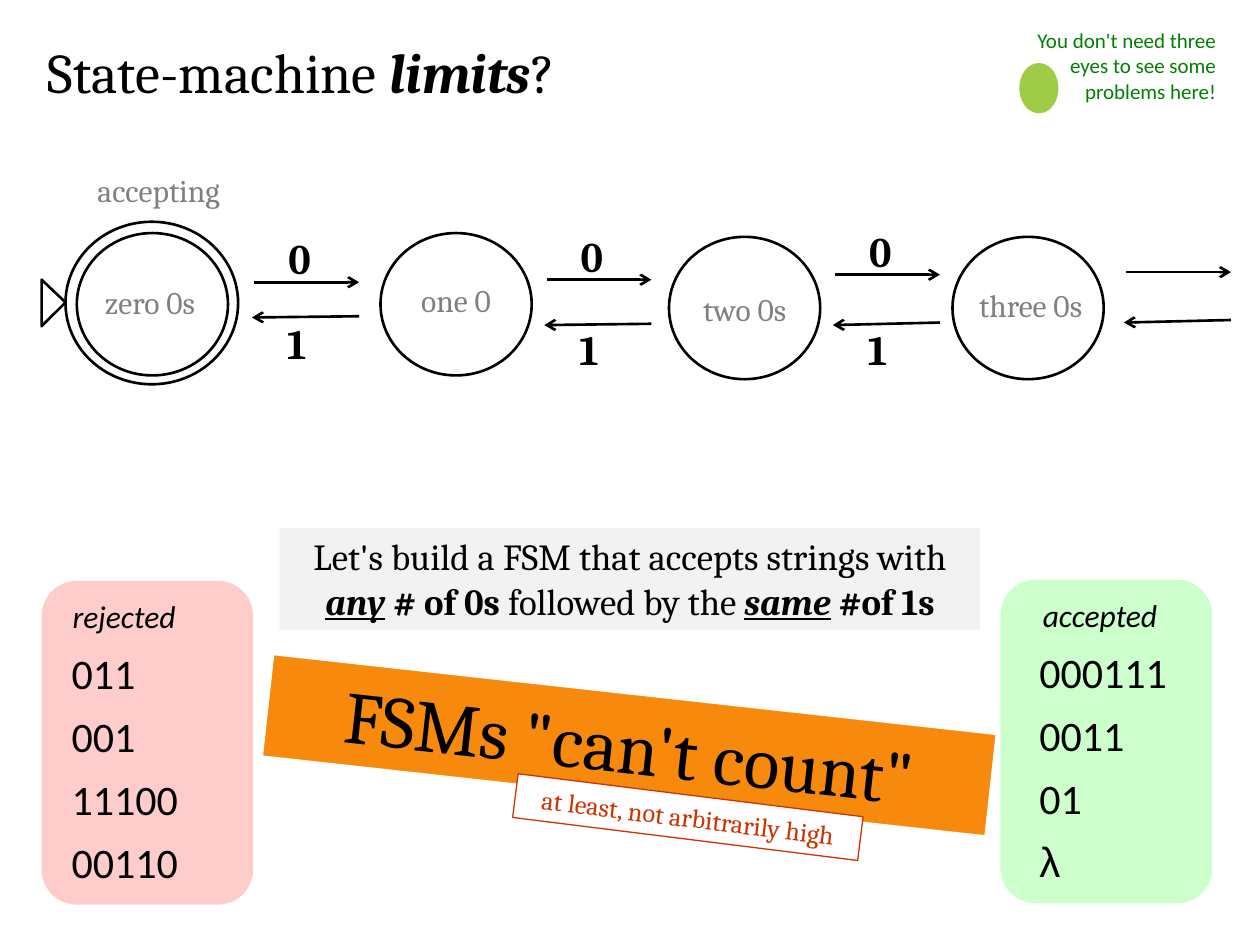
"""Builds the slide on the limits of finite-state machines."""
import pptx
import pptx.util
import pptx.dml.color
import pptx.enum.shapes
import pptx.enum.text
import pptx.oxml
import pptx.oxml.ns

Inches = pptx.util.Inches
Pt = pptx.util.Pt
RGBColor = pptx.dml.color.RGBColor
Shape = pptx.enum.shapes.MSO_SHAPE
Align = pptx.enum.text.PP_ALIGN
Anchor = pptx.enum.text.MSO_ANCHOR
AutoSize = pptx.enum.text.MSO_AUTO_SIZE

BLACK = RGBColor(0x00, 0x00, 0x00)
WHITE = RGBColor(0xFF, 0xFF, 0xFF)
GRAY = RGBColor(0x80, 0x80, 0x80)
PALE_GRAY = RGBColor(0xF2, 0xF2, 0xF2)
PINK = RGBColor(0xFF, 0xCC, 0xCC)
MINT = RGBColor(0xCC, 0xFF, 0xCC)
GREEN = RGBColor(0x00, 0x80, 0x00)
LIME = RGBColor(0x9E, 0xCC, 0x46)
ORANGE = RGBColor(0xF7, 0x89, 0x0C)
RUST = RGBColor(0xCC, 0x33, 0x00)


class SlideBuilder:
    """Holds the style and the current slide."""

    serif = "Cambria"
    sans = "Calibri"
    stroke = 1.5

    def __init__(self, slide):
        self.slide = slide

    def add_spans(self, frame, spans, size, font, color=BLACK, align=Align.LEFT,
                  anchor=Anchor.TOP, wrap=True):
        frame.word_wrap = wrap
        frame.vertical_anchor = anchor
        para = frame.paragraphs[0]
        para.alignment = align
        for text, marks in spans:
            span = para.add_run()
            span.text = text
            span.font.name = font
            span.font.size = Pt(size)
            span.font.color.rgb = color
            span.font.bold = "b" in marks
            span.font.italic = "i" in marks
            span.font.underline = "u" in marks

    def title(self, left, top, width, height, spans, size):
        box = self.slide.shapes.title
        box.left, box.top = Inches(left), Inches(top)
        box.width, box.height = Inches(width), Inches(height)
        box.text_frame.auto_size = AutoSize.NONE
        self.add_spans(box.text_frame, spans, size, self.serif)

    def text(self, left, top, width, height, text, size, font, marks="", **style):
        box = self.slide.shapes.add_textbox(
            Inches(left), Inches(top), Inches(width), Inches(height))
        box.text_frame.auto_size = AutoSize.SHAPE_TO_FIT_TEXT
        self.add_spans(box.text_frame, [(text, marks)], size, font, **style)

    def paint(self, shape, fill, line, weight):
        shape.shadow.inherit = False
        if fill is None:
            shape.fill.background()
        else:
            shape.fill.solid()
            shape.fill.fore_color.rgb = fill
        if line is None:
            shape.line.fill.background()
        else:
            shape.line.color.rgb = line
            shape.line.width = Pt(weight)

    def shape(self, kind, left, top, width, height, fill=None, line=None, weight=0.75):
        shape = self.slide.shapes.add_shape(
            kind, Inches(left), Inches(top), Inches(width), Inches(height))
        self.paint(shape, fill, line, weight)
        return shape

    def banner(self, left, top, width, height, spans, size, fill, line=None,
               color=BLACK, angle=0):
        shape = self.shape(Shape.RECTANGLE, left, top, width, height, fill, line)
        shape.rotation = angle
        self.add_spans(shape.text_frame, spans, size, self.serif, color, Align.CENTER)

    def circle(self, left, top, width, height):
        self.shape(Shape.OVAL, left, top, width, height, None, BLACK, self.stroke)

    def state(self, left, top, label, label_left, label_top):
        self.circle(left, top, 1.2, 1.13)
        self.state_label(label_left, label_top, 1.34, label)

    def state_label(self, left, top, width, label):
        self.text(left, top, width, 0.4, label, 18, self.serif, color=GRAY,
                  align=Align.CENTER, anchor=Anchor.MIDDLE)

    def polygon(self, points):
        corners = [(Inches(x), Inches(y)) for x, y in points]
        builder = self.slide.shapes.build_freeform(*corners[0])
        builder.add_line_segments(corners[1:], close=True)
        self.paint(builder.convert_to_shape(), None, BLACK, self.stroke)

    def arrow(self, start_x, start_y, end_x, end_y):
        arrow = self.slide.shapes.add_connector(
            pptx.enum.shapes.MSO_CONNECTOR.STRAIGHT,
            Inches(start_x), Inches(start_y), Inches(end_x), Inches(end_y))
        arrow.line.color.rgb = BLACK
        arrow.line.width = Pt(self.stroke)
        properties = arrow._element.spPr
        head = pptx.oxml.parse_xml(
            f'<a:tailEnd {pptx.oxml.ns.nsdecls("a")} type="arrow"/>')
        properties.find(pptx.oxml.ns.qn("a:ln")).append(head)
        effects = pptx.oxml.parse_xml(f'<a:effectLst {pptx.oxml.ns.nsdecls("a")}/>')
        properties.append(effects)

    def transition(self, left, forward_y, back_y, back_drop):
        self.arrow(left, forward_y, left + 0.83, forward_y)
        self.arrow(left + 0.83, back_y, left - 0.02, back_y + back_drop)

    def digit(self, left, top, digit):
        self.text(left, top, 0.4, 0.5, digit, 24, self.serif, "b", wrap=False)

    def examples(self, left, top, fill, heading, heading_left, words, word_left, width):
        self.shape(Shape.ROUNDED_RECTANGLE, left, top, 1.68, 2.57, fill)
        self.text(heading_left, top + 0.08, width, 0.4, heading, 18, self.sans, "i",
                  align=Align.CENTER)
        for row, word in enumerate(words):
            font = "Arial" if word == "λ" else self.sans
            self.text(word_left, top + 0.48 + 0.5 * row, width, 0.5, word, 24, font)


def main():
    deck = pptx.Presentation()
    deck.slide_width, deck.slide_height = Inches(10), Inches(7.5)
    page = SlideBuilder(deck.slides.add_slide(deck.slide_layouts[5]))

    page.title(0.28, 0.25, 6.98, 0.64,
               [("State-machine ", ""), ("limits", "bi"), ("?", "")], 32)
    page.text(7.94, 0.17, 1.81, 0.71,
              "You don't need three eyes to see some problems here!", 12, page.sans,
              color=GREEN, align=Align.RIGHT)
    page.shape(Shape.OVAL, 8.09, 0.5, 0.31, 0.4, LIME)

    page.state_label(0.45, 1.31, 1.62, "accepting")
    page.circle(0.52, 1.76, 1.37, 1.29)
    page.polygon([(0.33, 2.22), (0.33, 2.59), (0.52, 2.4)])
    for state in [(0.61, 1.85, "zero 0s", 0.52, 2.2),
                  (3.02, 1.85, "one 0", 2.95, 2.18),
                  (5.31, 1.88, "two 0s", 5.24, 2.25),
                  (7.56, 1.88, "three 0s", 7.51, 2.22)]:
        page.state(*state)
    for transition in [(2.02, 2.24, 2.51, 0.01), (4.34, 2.22, 2.57, 0.01),
                       (6.63, 2.18, 2.56, 0.02), (8.94, 2.16, 2.54, 0.02)]:
        page.transition(*transition)
    for left, zero_top, one_top in [(2.19, 1.8, 2.47), (4.51, 1.78, 2.52),
                                    (6.8, 1.74, 2.52)]:
        page.digit(left, zero_top, "0")
        page.digit(left - 0.01, one_top, "1")

    page.banner(2.22, 4.19, 5.56, 0.81,
                [("Let's build a FSM that accepts strings with ", ""), ("any", "biu"),
                 (" ", ""), ("# of 0s ", "b"), ("followed by the ", ""),
                 ("same", "biu"), (" ", ""), ("#of 1s", "b")], 21, PALE_GRAY)
    page.examples(0.33, 4.61, PINK, "rejected", 0.4,
                  ["011", "001", "11100", "00110"], 0.47, 1.17)
    page.examples(7.94, 4.6, MINT, "accepted", 7.94,
                  ["000111", "0011", "01", "λ"], 8.15, 1.58)
    page.banner(2.11, 5.51, 5.77, 0.81, [("FSMs \"can't count\"", "")], 42,
                ORANGE, WHITE, angle=6.3)
    page.banner(4.08, 6.31, 2.76, 0.35, [("at least, not arbitrarily high", "")], 15,
                WHITE, RUST, RUST, 7.1)
    deck.save("out.pptx")


if __name__ == "__main__":
    main()
